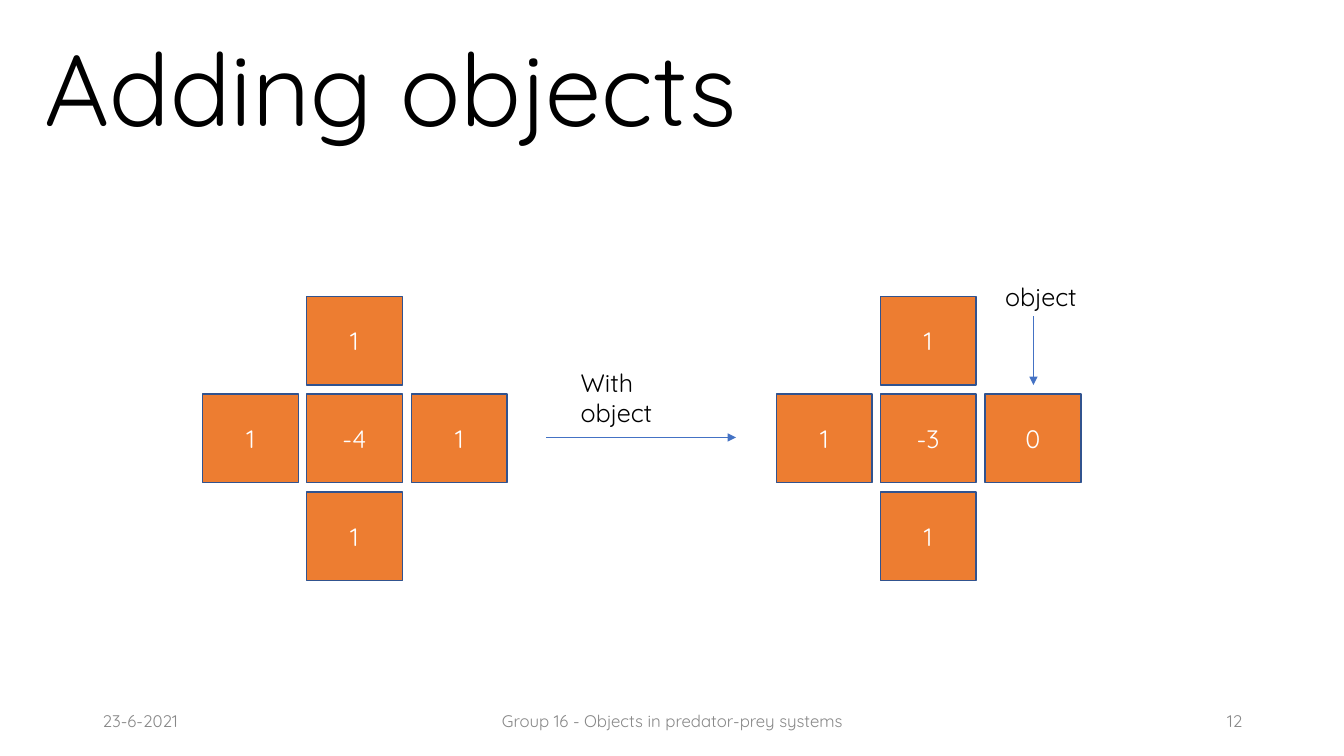
from lxml.etree import SubElement
from pptx import Presentation
from pptx.dml.color import RGBColor
from pptx.enum.shapes import MSO_CONNECTOR, MSO_SHAPE
from pptx.enum.text import MSO_ANCHOR, PP_ALIGN
from pptx.oxml.ns import qn
from pptx.util import Pt

PX = 9144  # 100 px to the inch
FONT = "Quicksand"
BLACK, WHITE, GREY = "000000", "FFFFFF", "888888"
ORANGE, NAVY, BLUE = "ED7D31", "31538F", "4472C4"


def color(code):
    return RGBColor.from_string(code)


def scale(*sizes):
    return [size * PX for size in sizes]


def write(shape, text, size, ink, align=PP_ALIGN.LEFT, anchor=MSO_ANCHOR.TOP):
    frame = shape.text_frame
    frame.word_wrap = True
    frame.vertical_anchor = anchor
    line = frame.paragraphs[0]
    line.text = text
    line.alignment = align
    line.font.name = FONT
    line.font.size = Pt(size)
    line.font.color.rgb = color(ink)


def label(slide, box, text, size=18, ink=BLACK, **place):
    write(slide.shapes.add_textbox(*scale(*box)), text, size, ink, **place)


def arrow(slide, start, end):
    line = slide.shapes.add_connector(
        MSO_CONNECTOR.STRAIGHT, *scale(*start, *end))
    line.line.color.rgb = color(BLUE)
    line.line.width = Pt(0.75)
    SubElement(line.line._get_or_add_ln(), qn("a:tailEnd"), type="triangle")
    SubElement(line._element.spPr, qn("a:effectLst"))


def cross(slide, box, values):
    """Place five cells on a 3 by 3 grid; values map (column, row) to text."""
    left, top, width, height = box
    wide, high = 95, 88
    for (col, row), text in values.items():
        x = left + col * (width - wide) // 2
        y = top + row * (height - high) // 2
        cell = slide.shapes.add_shape(
            MSO_SHAPE.RECTANGLE, *scale(x, y, wide, high))
        cell.shadow.inherit = False
        cell.fill.solid()
        cell.fill.fore_color.rgb = color(ORANGE)
        cell.line.color.rgb = color(NAVY)
        cell.line.width = Pt(1)
        write(cell, text, 18, WHITE, PP_ALIGN.CENTER, MSO_ANCHOR.MIDDLE)


def change(slide, box):
    """Arrow along the foot of the box, with its label above."""
    left, top, width, height = box
    foot = top + height
    arrow(slide, (left, foot), (left + width, foot))
    label(slide, (left + 24, top, 140, 71), "With object")


def pointer(slide, box):
    """Label at the top of the box, with an arrow down to its foot."""
    left, top, width, height = box
    label(slide, (left, top, width, 40), "object")
    arrow(slide, (left + 38, top + 40), (left + 38, top + height))


def footer(slide, box):
    left, top, width, height = box
    side, mid = 300, 450
    parts = (
        (left, side, "23-6-2021", PP_ALIGN.LEFT),
        (left + (width - mid) // 2, mid,
         "Group 16 - Objects in predator-prey systems", PP_ALIGN.CENTER),
        (left + width - side, side, "12", PP_ALIGN.RIGHT),
    )
    for x, wide, text, align in parts:
        label(slide, (x, top, wide, height), text, 12, GREY,
              align=align, anchor=MSO_ANCHOR.MIDDLE)


def main():
    deck = Presentation()
    deck.slide_width, deck.slide_height = scale(1333, 750)
    slide = deck.slides.add_slide(deck.slide_layouts[6])

    # Title
    label(slide, (34, 21, 794, 131), "Adding objects", 72)

    # Stencil before and after the object is added
    plain = {(1, 0): "1", (0, 1): "1", (1, 2): "1", (2, 1): "1", (1, 1): "-4"}
    cross(slide, (201, 294, 302, 282), plain)
    change(slide, (542, 359, 188, 75))
    cross(slide, (770, 294, 302, 282), plain | {(2, 1): "0", (1, 1): "-3"})
    pointer(slide, (987, 274, 124, 108))

    footer(slide, (92, 695, 1150, 40))
    deck.save("out.pptx")


if __name__ == "__main__":
    main()
